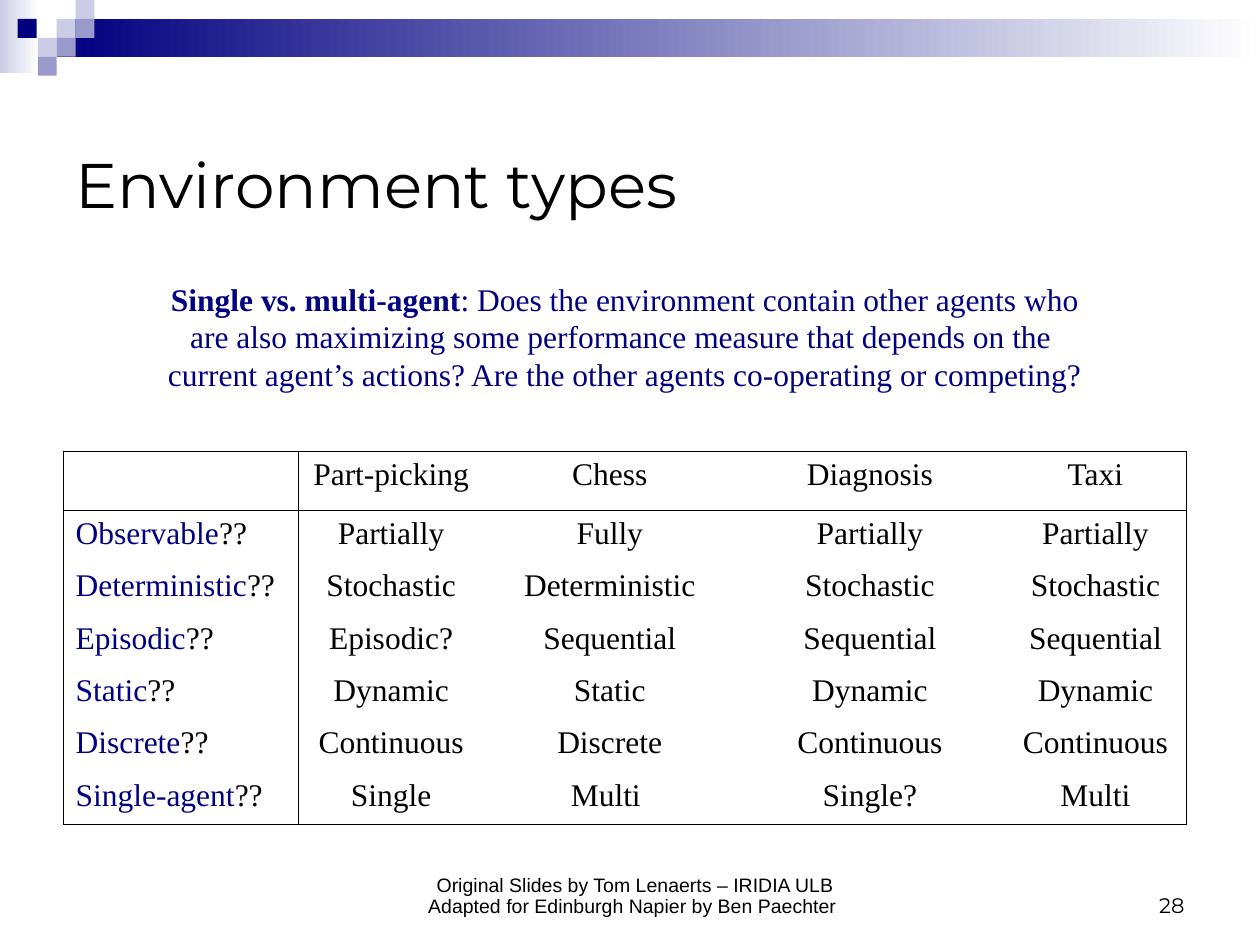
from lxml import etree
from pptx import Presentation, util as u
from pptx.dml.color import RGBColor
from pptx.enum import shapes, text
from pptx.oxml.ns import qn

COLORS = {"navy": "000080", "mid": "9999CC", "pale": "CCCCE6",
          "white": "FFFFFF", "black": "000000"}
SERIF, SANS, TITLE = "Times New Roman", "Arial", "Montserrat"
LEFT, CENTER, RIGHT = text.PP_ALIGN.LEFT, text.PP_ALIGN.CENTER, text.PP_ALIGN.RIGHT
TOP, MIDDLE, BOTTOM = text.MSO_ANCHOR.TOP, text.MSO_ANCHOR.MIDDLE, text.MSO_ANCHOR.BOTTOM

SQUARES = [(0.45, 0.15, "pale"), (0.6, 0, "pale"), (0.6, 0.15, "mid"),
           (0.3, 0.3, "pale"), (0.14, 0.15, "navy"), (0.45, 0.3, "mid"),
           (0.3, 0.45, "mid")]
COL_WIDTHS = [1.87, 1.47, 2, 2.13, 1.45]
HEADER_HEIGHT, BODY_HEIGHT = 0.47, 2.49
ROWS = [
    ["", "Part-picking", "Chess", "Diagnosis", "Taxi"],
    ["Observable", "Partially", "Fully", "Partially", "Partially"],
    ["Deterministic", "Stochastic", "Deterministic", "Stochastic", "Stochastic"],
    ["Episodic", "Episodic?", "Sequential", "Sequential", "Sequential"],
    ["Static", "Dynamic", "Static", "Dynamic", "Dynamic"],
    ["Discrete", "Continuous", "Discrete", "Continuous", "Continuous"],
    ["Single-agent", "Single", "Multi ", "Single?", "Multi"],
]


def rgb(name):
    return RGBColor.from_string(COLORS[name])


def add_rect(s, x, y, w, h, color, fade_to=None):
    """Borderless rectangle, fading left to right when fade_to is given."""
    sp = s.shapes.add_shape(shapes.MSO_SHAPE.RECTANGLE, *map(u.Inches, (x, y, w, h)))
    sp.shadow.inherit = False
    sp.line.fill.background()
    if fade_to is None:
        sp.fill.solid()
        sp.fill.fore_color.rgb = rgb(color)
        return
    sp.fill.gradient()
    sp.fill.gradient_angle = 0
    for stop, name, position in zip(sp.fill.gradient_stops, (color, fade_to), (0, 1)):
        stop.color.rgb = rgb(name)
        stop.position = position


def style_paragraph(p, font, size, color="black", align=LEFT):
    p.alignment = align
    p.font.name = font
    p.font.size = u.Pt(size)
    p.font.color.rgb = rgb(color)


def add_text(s, box, lines, font, size, color="black", align=LEFT,
             anchor=TOP, spacing=None, wrap=True):
    tf = s.shapes.add_textbox(*map(u.Inches, box)).text_frame
    tf.word_wrap = wrap
    tf.vertical_anchor = anchor
    for i, line in enumerate(lines):
        p = tf.paragraphs[0] if i == 0 else tf.add_paragraph()
        style_paragraph(p, font, size, color, align)
        if spacing:
            p.line_spacing = spacing
        p.add_run().text = line
    return tf


def set_borders(cell, sides):
    """Draw thin black lines on the given sides (L, R, T, B) and none elsewhere."""
    tc_pr = cell._tc.get_or_add_tcPr()
    for i, side in enumerate("LRTB"):
        ln = etree.Element(qn(f"a:ln{side}"), w=str(u.Pt(0.45)))
        if side in sides:
            fill = etree.SubElement(ln, qn("a:solidFill"))
            etree.SubElement(fill, qn("a:srgbClr"), val=COLORS["black"])
        else:
            etree.SubElement(ln, qn("a:noFill"))
        tc_pr.insert(i, ln)


def border_sides(row, col):
    """Outer frame plus the rules after the header row and the label column."""
    rules = {"L": col in (0, 1), "R": col in (0, len(COL_WIDTHS) - 1),
             "T": row in (0, 1), "B": row in (0, len(ROWS) - 1)}
    return [side for side, drawn in rules.items() if drawn]


def fill_cell(cell, row, col, value):
    cell.fill.background()
    p = cell.text_frame.paragraphs[0]
    style_paragraph(p, SERIF, 18, align=CENTER if col else LEFT)
    if value:
        r = p.add_run()
        r.text = value
        if col == 0:
            r.font.color.rgb = rgb("navy")
            p.add_run().text = "??"
    set_borders(cell, border_sides(row, col))


def add_environment_table(s):
    table = s.shapes.add_table(
        len(ROWS), len(COL_WIDTHS), u.Inches(0.5), u.Inches(3.58),
        u.Inches(sum(COL_WIDTHS)), u.Inches(HEADER_HEIGHT + BODY_HEIGHT)).table
    table.first_row = table.horz_banding = False
    for column, width in zip(table.columns, COL_WIDTHS):
        column.width = u.Inches(width)
    for i, values in enumerate(ROWS):
        height = BODY_HEIGHT / (len(ROWS) - 1) if i else HEADER_HEIGHT
        table.rows[i].height = u.Inches(height)
        for j, value in enumerate(values):
            fill_cell(table.cell(i, j), i, j, value)


def add_question(s):
    lines = [": Does the environment contain other agents who",
             "are also maximizing some performance measure that depends on the ",
             "current agent’s actions? Are the other agents co-operating or competing?"]
    tf = add_text(s, (1.22, 2.17, 7.48, 1), lines, SERIF, 18, "navy", CENTER, wrap=False)
    p = tf.paragraphs[0]
    p.runs[0].text = "Single vs. multi-agent"
    p.runs[0].font.bold = True
    p.add_run().text = lines[0]


def main():
    prs = Presentation()
    prs.slide_width, prs.slide_height = u.Inches(10), u.Inches(7.5)
    s = prs.slides.add_slide(prs.slide_layouts[6])

    add_rect(s, 0, 0, 0.31, 0.58, "pale", "white")
    add_rect(s, 0.45, 0.15, 9.55, 0.3, "navy", "white")
    for x, y, color in SQUARES:
        add_rect(s, x, y, 0.15, 0.15, color)

    add_text(s, (3.03, 6.83, 4.02, 0.5),
             ["Original Slides by Tom Lenaerts – IRIDIA ULB",
              "Adapted for Edinburgh Napier by Ben Paechter "],
             SANS, 11.1, align=CENTER, anchor=BOTTOM, spacing=0.9)
    add_text(s, (7.17, 6.83, 2.33, 0.5), ["28"], TITLE, 12, align=RIGHT, anchor=BOTTOM)
    add_text(s, (0.5, 0.83, 9, 1.25), ["Environment types"], TITLE, 36, anchor=MIDDLE)
    add_environment_table(s)
    add_question(s)
    prs.save("out.pptx")


if __name__ == "__main__":
    main()
